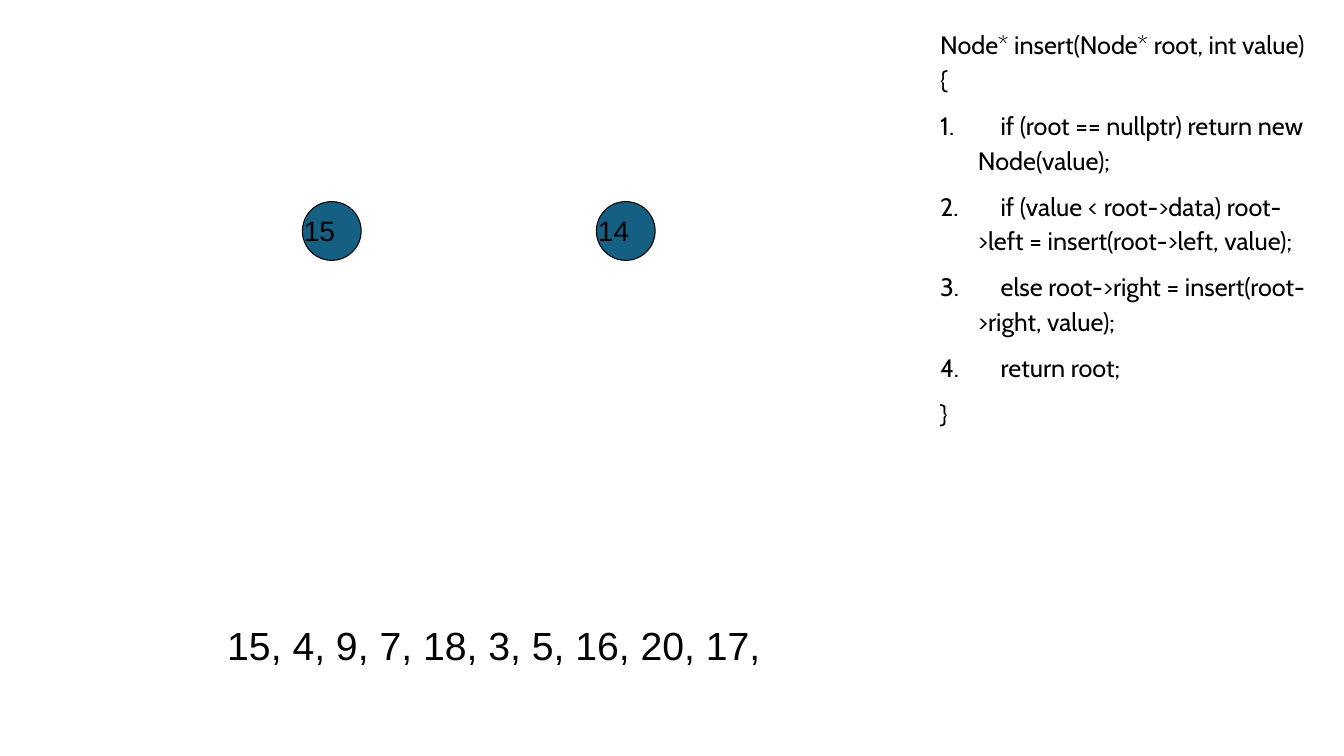
from dataclasses import dataclass

from lxml.etree import SubElement
from pptx import Presentation
from pptx.dml.color import RGBColor as Rgb
from pptx.enum.shapes import MSO_SHAPE as Shape
from pptx.enum.text import MSO_AUTO_SIZE as Fit
from pptx.oxml.ns import qn
from pptx.shapes.shapetree import _BaseGroupShapes as Shapes
from pptx.slide import Slide
from pptx.text.text import TextFrame, _Paragraph as Para
from pptx.util import Pt

EMU = 9525  # one px, at 96 px to the inch


@dataclass(frozen=True)
class Theme:
    ink: Rgb = Rgb(0, 0, 0)
    fill: Rgb = Rgb(0x15, 0x60, 0x82)
    sans: str = "Arial"
    code: str = "Cabin"
    list_size: int = 28
    node_size: int = 20
    code_size: int = 18


@dataclass(frozen=True)
class Node:
    value: int
    left: int
    top: int = 192


THEME = Theme()
SIZE = 56
LABEL_W, LABEL_H = 72, 41
HANG = 36

NODES = [Node(14, 568), Node(15, 288)]
VALUES = "15, 4, 9, 7, 18, 3, 5, 16, 20, 17,"
HEAD = "Node* insert(Node* root, int value) {"
STEPS = [
    "    if (root == nullptr) return new Node(value);",
    "    if (value < root->data) root->left = insert(root->left, value);",
    "    else root->right = insert(root->right, value);",
    "    return root;",
]
TAIL = "}"


def px(*vals: int) -> list[int]:
    return [val * EMU for val in vals]


def style(para: Para, face: str, size: int) -> None:
    font = para.font
    font.name, font.size = face, Pt(size)
    font.color.rgb = THEME.ink


def add_box(shapes: Shapes, *rect: int) -> TextFrame:
    frame = shapes.add_textbox(*px(*rect)).text_frame
    frame.word_wrap = True
    return frame


def add_node(slide: Slide, node: Node) -> None:
    """Group a circle with its value, the label centred on the circle."""
    shapes = slide.shapes.add_group_shape().shapes
    disc = shapes.add_shape(Shape.OVAL, *px(node.left, node.top, SIZE, SIZE))
    disc.shadow.inherit = False
    disc.fill.solid()
    disc.fill.fore_color.rgb = THEME.fill
    disc.line.color.rgb = THEME.ink
    disc.line.width = Pt(0.75)

    left = node.left - (LABEL_W - SIZE) // 2
    top = node.top + (SIZE - LABEL_H) // 2
    frame = add_box(shapes, left, top, LABEL_W, LABEL_H)
    frame.auto_size = Fit.SHAPE_TO_FIT_TEXT
    para = frame.paragraphs[0]
    para.text = str(node.value)
    style(para, THEME.sans, THEME.node_size)


def add_number(para: Para) -> None:
    props = para._p.get_or_add_pPr()
    props.set("marL", str(HANG * EMU))
    props.set("indent", str(-HANG * EMU))
    SubElement(props, qn("a:buFont"), typeface="+mj-lt")
    SubElement(props, qn("a:buAutoNum"), type="arabicPeriod")


def add_code(slide: Slide) -> None:
    frame = add_box(slide.shapes, 886, 19, 371, 396)
    frame.auto_size = Fit.SHAPE_TO_FIT_TEXT
    lines = [HEAD, *STEPS, TAIL]
    frame.text = "\n".join(lines)
    for line, para in zip(lines, frame.paragraphs):
        if line in STEPS:
            add_number(para)
        para.line_spacing = 1.15
        para.space_after = Pt(8)
        style(para, THEME.code, THEME.code_size)


def add_values(slide: Slide) -> None:
    frame = add_box(slide.shapes, 207, 592, 864, 72)
    para = frame.paragraphs[0]
    para.text = VALUES
    para.line_spacing = 0.9
    style(para, THEME.sans, THEME.list_size)


def main() -> None:
    deck = Presentation()
    deck.slide_width, deck.slide_height = px(1280, 720)
    slide = deck.slides.add_slide(deck.slide_layouts[6])
    add_values(slide)
    for node in NODES:
        add_node(slide, node)
    add_code(slide)
    deck.save("out.pptx")


if __name__ == "__main__":
    main()
